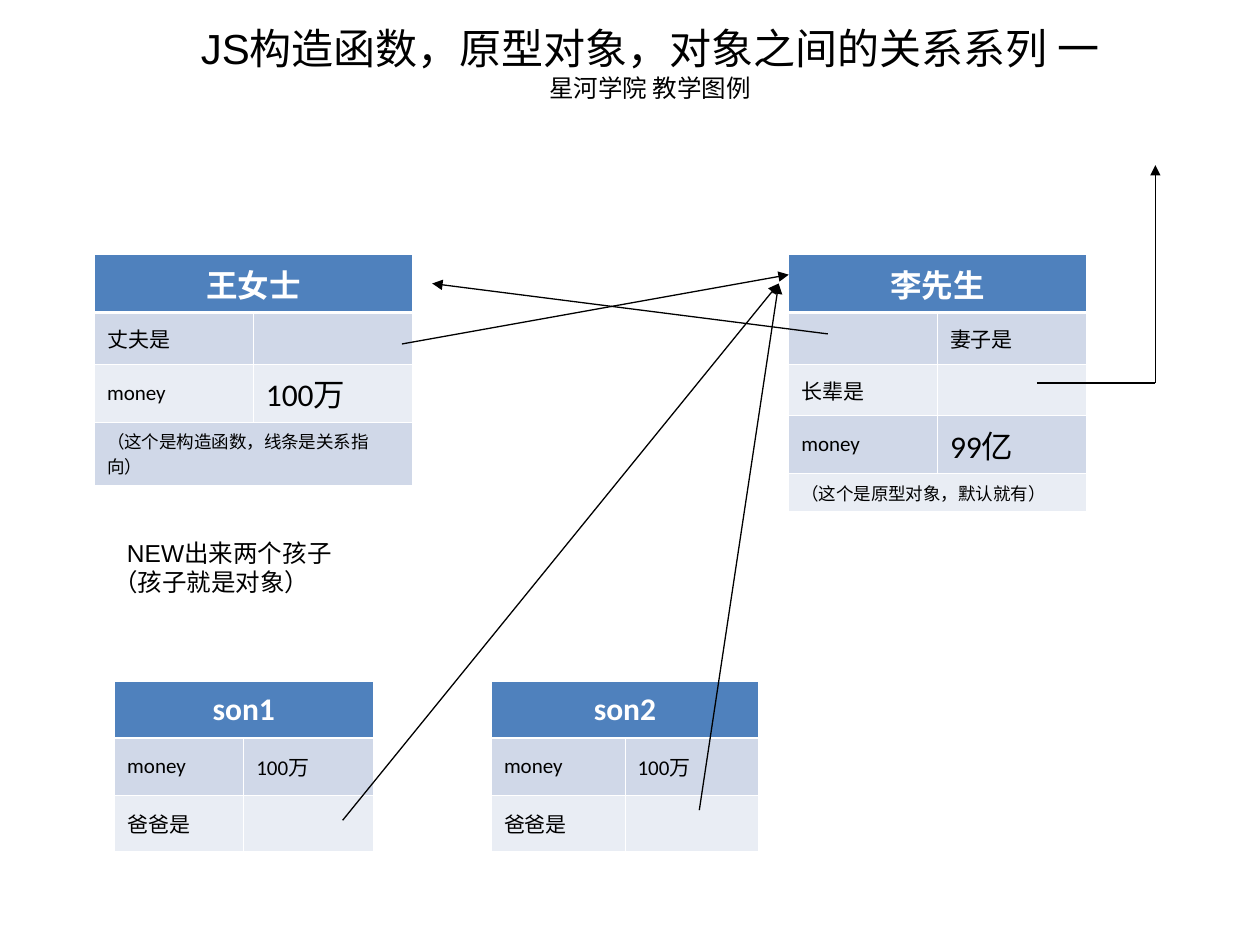
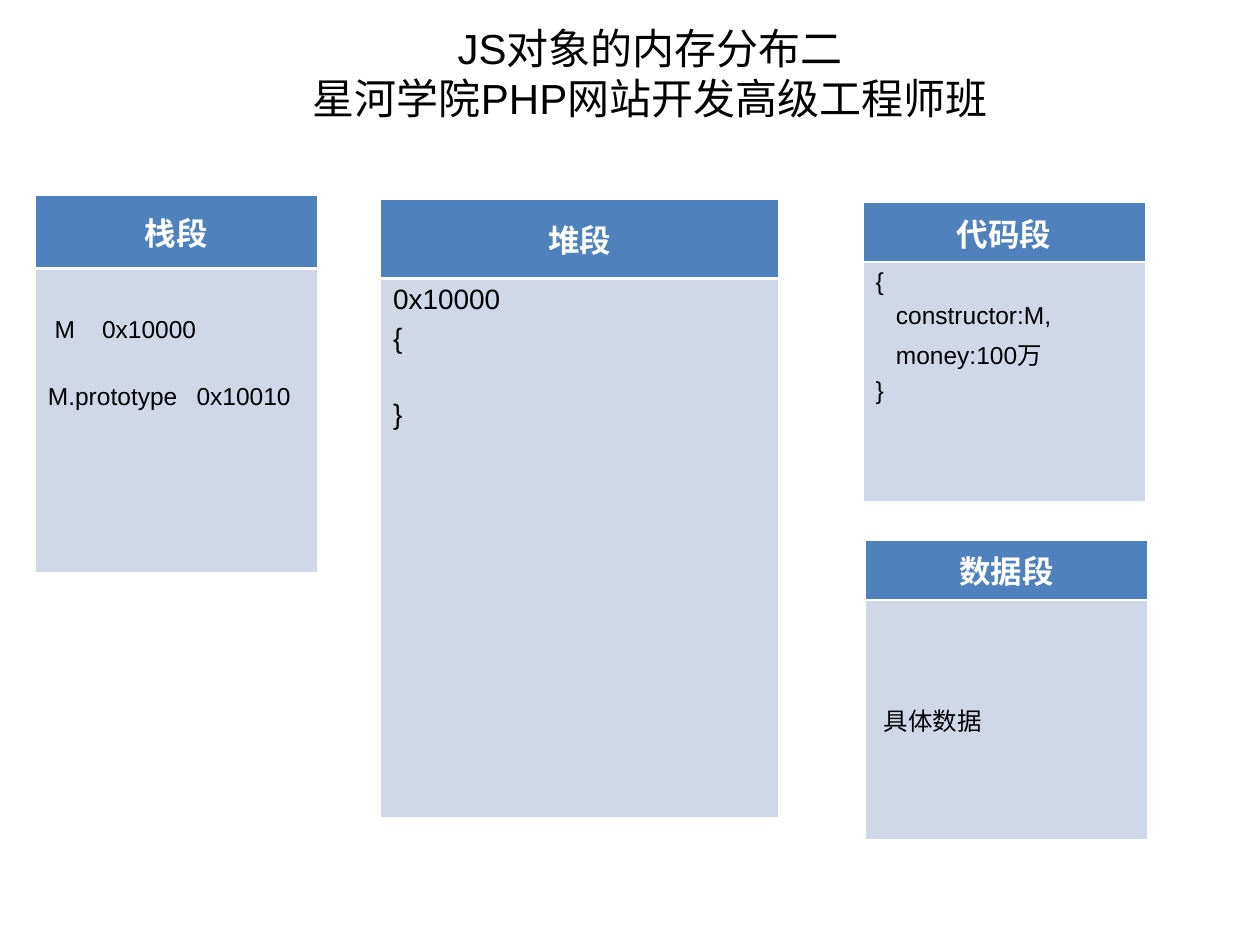
from dataclasses import dataclass

from lxml import etree
from pptx import Presentation
from pptx.dml.color import RGBColor
from pptx.enum.shapes import MSO_CONNECTOR
from pptx.enum.text import MSO_ANCHOR, PP_ALIGN
from pptx.oxml.ns import qn
from pptx.util import Emu, Inches, Pt

STRAIGHT = MSO_CONNECTOR.STRAIGHT
LEFT, CENTER = PP_ALIGN.LEFT, PP_ALIGN.CENTER
TOP, MIDDLE = MSO_ANCHOR.TOP, MSO_ANCHOR.MIDDLE

BLACK = RGBColor(0x00, 0x00, 0x00)
WHITE = RGBColor(0xFF, 0xFF, 0xFF)
BLUE = RGBColor(0x4F, 0x81, 0xBD)
BANDS = (RGBColor(0xD0, 0xD8, 0xE8), RGBColor(0xE9, 0xED, 0xF4))

HEAD_FONT, BODY_FONT = "Calibri", "Arial"
THIN, THICK = 0.45, 1.47

WIDTH, HEIGHT = Inches(10), Inches(7.5)
COLS = 100  # the grid is 100 columns by 75 rows of square units


@dataclass
class Line:
    """One paragraph; inset and tab are in grid units, gap in points."""
    text: str
    size: float
    gap: float = 0
    inset: float = 0
    tab: float = 0


def grid(*units):
    return [Emu(round(n * WIDTH / COLS)) for n in units]


def write(frame, lines, font, color=BLACK, bold=False, align=LEFT):
    for i, line in enumerate(lines):
        para = frame.paragraphs[0] if i == 0 else frame.add_paragraph()
        para.alignment = align
        para.space_before = Pt(line.gap)
        props = para._p.get_or_add_pPr()
        if line.inset:
            props.set("marL", str(grid(line.inset)[0]))
        if line.tab:
            tabs = etree.SubElement(props, qn("a:tabLst"))
            etree.SubElement(tabs, qn("a:tab"), pos=str(grid(line.tab)[0]), algn="l")
        run = para.add_run()
        run.text = line.text
        run.font.name = font
        run.font.size = Pt(line.size)
        run.font.bold = bold
        run.font.color.rgb = color


def add_text(slide, box, lines, align=LEFT):
    frame = slide.shapes.add_textbox(*grid(*box)).text_frame
    frame.word_wrap = True
    write(frame, lines, BODY_FONT, align=align)


def add_title(slide, *lines):
    add_text(slide, (5.9, 1.3, 91.4, 7.4), lines, CENTER)


def add_arrow(slide, start, end, tip=True):
    link = slide.shapes.add_connector(STRAIGHT, *grid(*start, *end))
    link.line.color.rgb = BLACK
    link.line.width = Pt(0.75)
    if tip:
        etree.SubElement(link.line._get_or_add_ln(), qn("a:tailEnd"), type="triangle")
    etree.SubElement(link._element.spPr, qn("a:effectLst"))


def paint(cell, color, row):
    """Fill a cell and rule it in white, thicker below the header row."""
    cell.fill.solid()
    cell.fill.fore_color.rgb = color
    cell.vertical_anchor = MIDDLE
    props = cell._tc.get_or_add_tcPr()
    widths = {"L": THIN, "R": THIN,
              "T": THICK if row == 1 else THIN,
              "B": THICK if row == 0 else THIN}
    for i, (side, width) in enumerate(widths.items()):
        rule = etree.Element(qn("a:ln" + side), w=str(Pt(width)))
        fill = etree.SubElement(rule, qn("a:solidFill"))
        etree.SubElement(fill, qn("a:srgbClr"), val=str(WHITE))
        props.insert(i, rule)


def add_grid(slide, spot, width, heights, cols, head):
    """Add a banded table with its header text and return the table."""
    box = grid(*spot, width, sum(heights))
    table = slide.shapes.add_table(len(heights), cols, *box).table
    table.first_row = table.horz_banding = False
    for col in table.columns:
        col.width = grid(width / cols)[0]
    for r, height in enumerate(heights):
        table.rows[r].height = grid(height)[0]
        for c in range(cols):
            paint(table.cell(r, c), BANDS[(r - 1) % 2] if r else BLUE, r)
    if cols > 1:
        table.cell(0, 0).merge(table.cell(0, cols - 1))
    write(table.cell(0, 0).text_frame, [Line(head, 18)], HEAD_FONT, WHITE, True, CENTER)
    return table


def add_card(slide, spot, width, heights, head, rows):
    """Two-column table; a row with a single entry spans both columns."""
    table = add_grid(slide, spot, width, heights, 2, head)
    for r, row in enumerate(rows, 1):
        if len(row) == 1:
            table.cell(r, 0).merge(table.cell(r, 1))
        for c, line in enumerate(row):
            if line:
                write(table.cell(r, c).text_frame, [line], HEAD_FONT)


def add_panel(slide, spot, width, heights, head, lines, anchor=TOP, pad=0.5):
    cell = add_grid(slide, spot, width, heights, 1, head).cell(1, 0)
    cell.vertical_anchor = anchor
    cell.margin_top = grid(pad)[0]
    write(cell.text_frame, lines, BODY_FONT)


def draw_links(slide):
    add_title(slide, Line("JS构造函数，原型对象，对象之间的关系系列 一", 24),
              Line("星河学院 教学图例", 14))
    money = Line("money", 12)
    add_card(slide, (7.5, 20.2), 25.2, (4.6, 4.1, 4.6, 5), "王女士", [
        (Line("丈夫是", 12), None),
        (money, Line("100万", 18)),
        (Line("（这个是构造函数，线条是关系指向）", 10),)])
    add_card(slide, (62.6, 20.2), 23.6, (4.6, 4.1, 4.1, 4.6, 3), "李先生", [
        (None, Line("妻子是", 12)),
        (Line("长辈是", 12), None),
        (money, Line("99亿", 18)),
        (Line("（这个是原型对象，默认就有）", 10),)])
    for name, left, width in (("son1", 9.1, 20.5), ("son2", 39, 21.2)):
        add_card(slide, (left, 54.1), width, (4.5,) * 3, name, [
            (money, Line("100万", 12)), (Line("爸爸是", 12), None)])
    add_text(slide, (8, 42.2, 22, 5.7),
             [Line("NEW出来两个孩子", 14, inset=1.1), Line("（孩子就是对象）", 14)])

    father, corner = (61.8, 22.5), (91.7, 30.4)
    add_arrow(slide, (31.9, 27.3), (62.6, 21.8))
    add_arrow(slide, (27.2, 65.1), father)
    add_arrow(slide, (55.5, 64.3), father)
    add_arrow(slide, (65.7, 26.5), (34.3, 22.5))
    add_arrow(slide, (82.3, 30.4), corner, tip=False)
    add_arrow(slide, corner, (91.7, 13.1))


def draw_memory(slide):
    add_title(slide, Line("JS对象的内存分布二", 24),
              Line("星河学院PHP网站开发高级工程师班", 24))
    side, short = 22.4, (4.7, 19)
    add_panel(slide, (2.8, 15.5), side, (5.8, 24.1), "栈段", [
        Line(" M\t0x10000", 14, tab=4.3),
        Line("M.prototype\t0x10010", 14, gap=22.5, tab=11.8)], pad=3.8)
    add_panel(slide, (30.2, 15.8), 31.6, (6.3, 42.8), "堆段", [
        Line("0x10000", 16), Line("{", 16, gap=4), Line("}", 16, gap=26)])
    add_panel(slide, (68.5, 16.1), side, short, "代码段", [
        Line("{", 14),
        Line("constructor:M,", 14, gap=3.5, inset=1.6),
        Line("money:100万", 14, gap=3.5, inset=1.6),
        Line("}", 14, gap=3.5)])
    add_panel(slide, (68.7, 42.9), side, short, "数据段",
              [Line(" 具体数据", 14)], MIDDLE)


def main():
    deck = Presentation()
    deck.slide_width, deck.slide_height = WIDTH, HEIGHT
    for draw in (draw_links, draw_memory):
        draw(deck.slides.add_slide(deck.slide_layouts[6]))
    deck.save("out.pptx")


if __name__ == "__main__":
    main()
